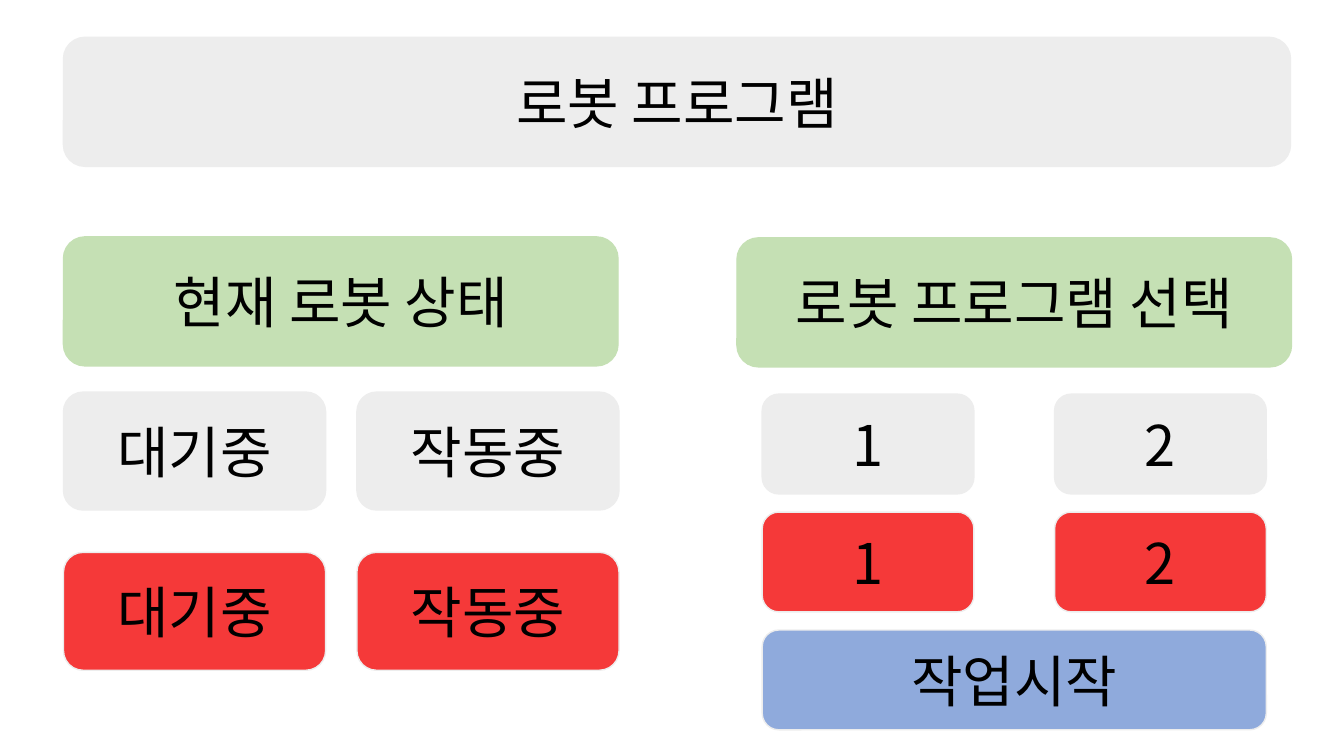
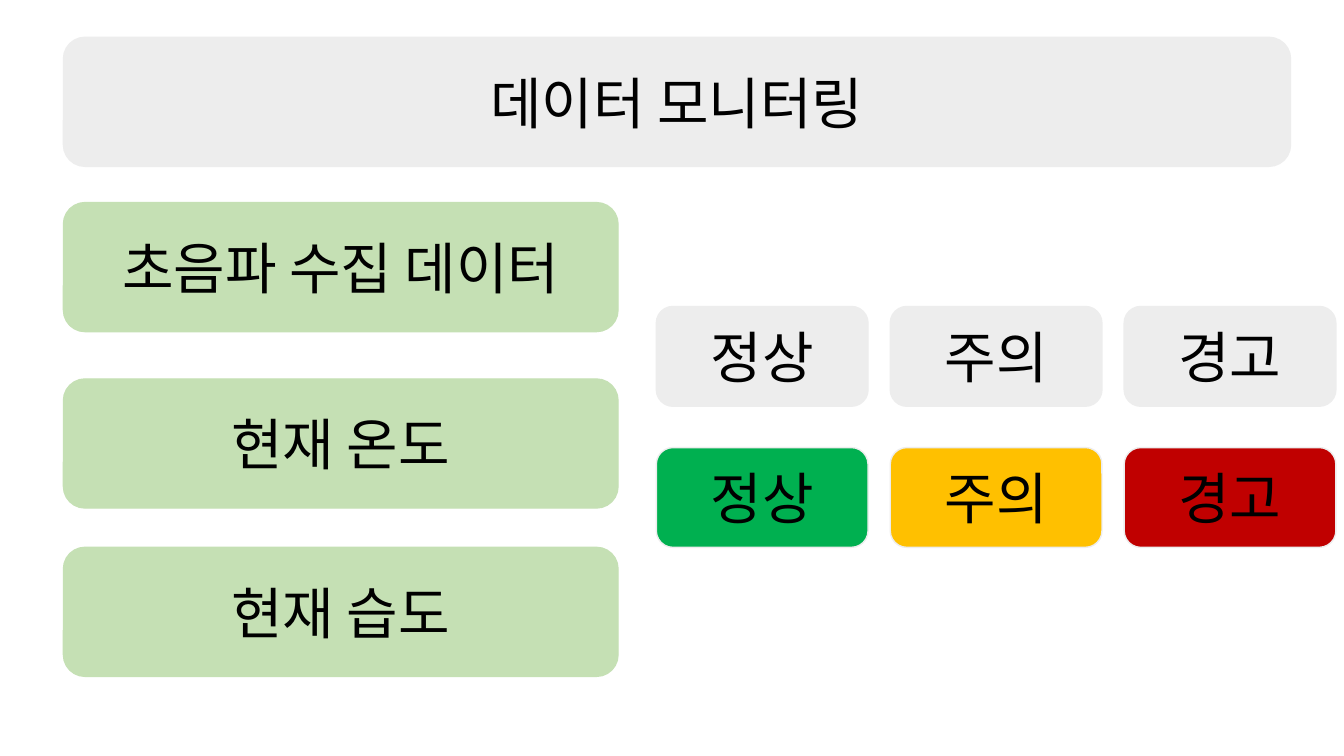
"""Build the robot program and data monitoring control screens."""
import dataclasses

import lxml.etree
import pptx
import pptx.dml.color
import pptx.enum.shapes
import pptx.enum.text
import pptx.oxml.ns
import pptx.presentation
import pptx.slide
import pptx.util

Inches = pptx.util.Inches

FONT = "Noto Sans CJK KR"
COLORS = {
    "text": "000000",
    "grey": "EDEDED",
    "heading": "C5E0B4",
    "active": "F53939",
    "start": "8FAADC",
    "normal": "00B050",
    "caution": "FFC000",
    "warning": "C00000",
}
LEFT = 0.63


@dataclasses.dataclass(frozen=True)
class BoxStyle:
    width: float
    height: float
    line: str = "grey"


TITLE = BoxStyle(12.17, 1.28)
HEADING = BoxStyle(5.5, 1.28, "heading")
STATUS = BoxStyle(2.6, 1.17)
BUTTON = BoxStyle(2.1, 0.99)
WIDE_BUTTON = BoxStyle(5, 0.99)


@dataclasses.dataclass(frozen=True)
class ButtonRow:
    labels: tuple[str, ...]
    fills: tuple[str, ...]
    left: float
    top: float
    pitch: float
    style: BoxStyle


def color(name: str) -> pptx.dml.color.RGBColor:
    return pptx.dml.color.RGBColor.from_string(COLORS[name])


def add_box(slide: pptx.slide.Slide, text: str, left: float, top: float,
            style: BoxStyle, fill: str) -> None:
    shape = slide.shapes.add_shape(
        pptx.enum.shapes.MSO_SHAPE.ROUNDED_RECTANGLE,
        Inches(left), Inches(top), Inches(style.width), Inches(style.height))
    shape.shadow.inherit = False
    shape.fill.solid()
    shape.fill.fore_color.rgb = color(fill)
    shape.line.color.rgb = color(style.line)
    shape.line.width = pptx.util.Pt(1)
    shape.text_frame.word_wrap = True
    shape.text_frame.vertical_anchor = pptx.enum.text.MSO_ANCHOR.MIDDLE
    paragraph = shape.text_frame.paragraphs[0]
    paragraph.alignment = pptx.enum.text.PP_ALIGN.CENTER
    run = paragraph.add_run()
    run.text = text
    run.font.size = pptx.util.Pt(40)
    run.font.color.rgb = color("text")
    run.font.name = FONT
    lxml.etree.SubElement(run._r.get_or_add_rPr(),
                          pptx.oxml.ns.qn("a:ea"), typeface=FONT)


def add_row(slide: pptx.slide.Slide, row: ButtonRow) -> None:
    for index, (label, fill) in enumerate(zip(row.labels, row.fills)):
        add_box(slide, label, row.left + index * row.pitch, row.top, row.style, fill)


def add_screen(presentation: pptx.presentation.Presentation,
               title: str) -> pptx.slide.Slide:
    slide = presentation.slides.add_slide(presentation.slide_layouts[6])
    add_box(slide, title, LEFT, 0.37, TITLE, "grey")
    return slide


def build_robot_screen(presentation: pptx.presentation.Presentation) -> None:
    slide = add_screen(presentation, "로봇 프로그램")
    add_box(slide, "현재 로봇 상태", LEFT, 2.35, HEADING, "heading")
    add_box(slide, "로봇 프로그램 선택", 7.31, 2.36, HEADING, "heading")
    for fill, status_top, program_top in (("grey", 3.89, 3.91), ("active", 5.48, 5.08)):
        fills = (fill, fill)
        add_row(slide, ButtonRow(("대기중", "작동중"), fills, LEFT, status_top, 2.91, STATUS))
        add_row(slide, ButtonRow(("1", "2"), fills, 7.56, program_top, 2.9, BUTTON))
    add_box(slide, "작업시작", 7.56, 6.25, WIDE_BUTTON, "start")


def build_monitoring_screen(presentation: pptx.presentation.Presentation) -> None:
    slide = add_screen(presentation, "데이터 모니터링")
    headings = (("초음파 수집 데이터", 2.01), ("현재 온도", 3.76), ("현재 습도", 5.43))
    for text, top in headings:
        add_box(slide, text, LEFT, top, HEADING, "heading")
    levels = ("정상", "주의", "경고")
    for fills, top in ((("grey",) * 3, 3.04), (("normal", "caution", "warning"), 4.44)):
        add_row(slide, ButtonRow(levels, fills, 6.51, top, 2.32, BUTTON))


def main() -> None:
    presentation = pptx.Presentation()
    presentation.slide_width = Inches(13.33)
    presentation.slide_height = Inches(7.5)
    build_robot_screen(presentation)
    build_monitoring_screen(presentation)
    presentation.save("out.pptx")


if __name__ == "__main__":
    main()
